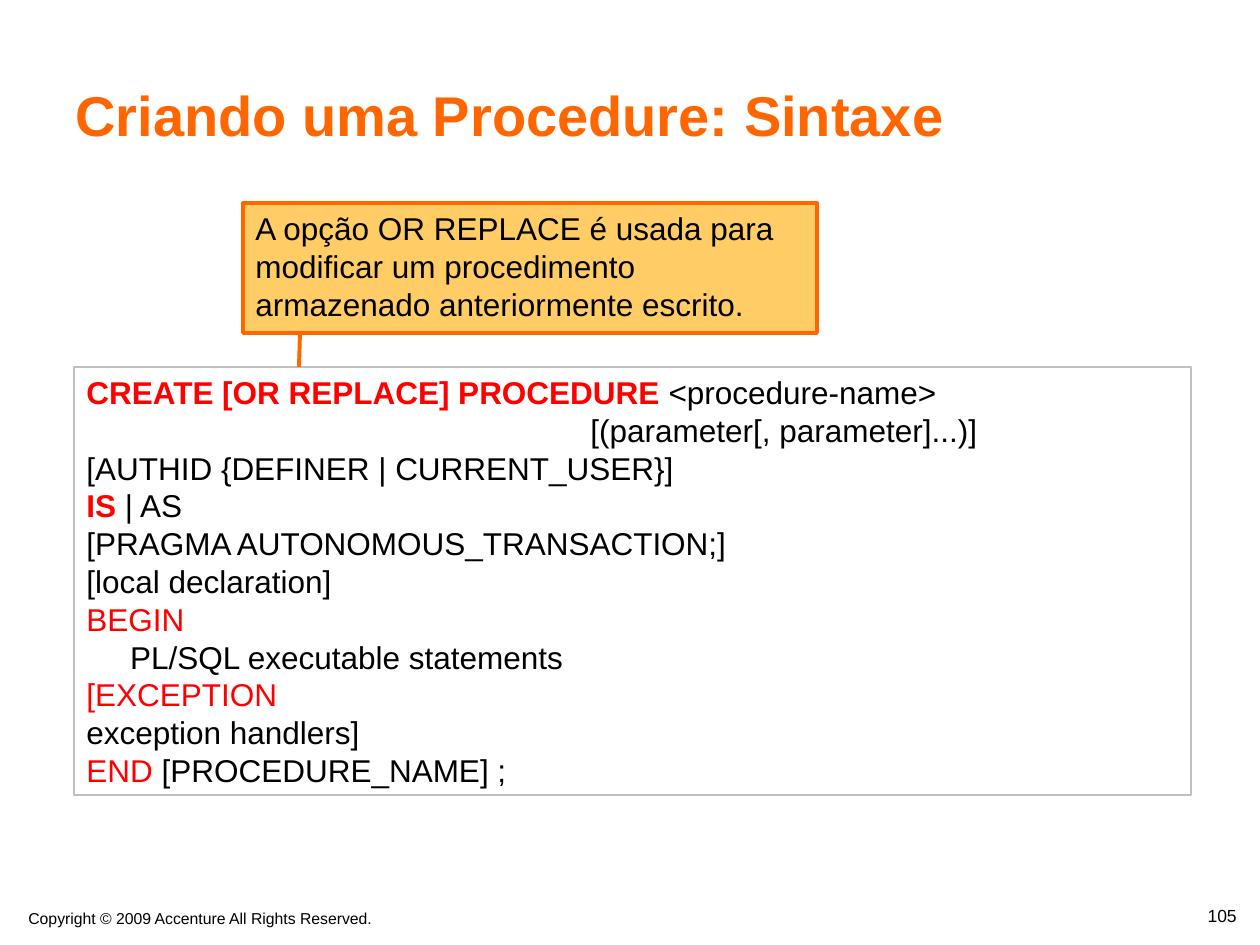
"""Build the slide on the syntax for creating a procedure."""
from lxml import etree
from pptx import Presentation
from pptx import util as u
from pptx.dml.color import RGBColor
from pptx.enum import shapes, text
from pptx.oxml.ns import qn

SCALE = 914400 / 126
COLORS = {"black": "000000", "orange": "FF6600", "amber": "FFCC66",
          "red": "FF0000", "gray": "C0C0C0"}
CODE = [
    [("CREATE [OR REPLACE] PROCEDURE", "red", True), (" <procedure-name>", "black", False)],
    [("[(parameter[, parameter]...)]", "black", False)],
    [("[AUTHID {DEFINER | CURRENT_USER}]", "black", False)],
    [("IS", "red", True), (" | AS", "black", False)],
    [("[PRAGMA AUTONOMOUS_TRANSACTION;]", "black", False)],
    [("[local declaration]", "black", False)],
    [("BEGIN", "red", False)],
    [("     PL/SQL executable statements", "black", False)],
    [("[EXCEPTION", "red", False)],
    [("exception handlers]", "black", False)],
    [("END", "red", False), (" [PROCEDURE_NAME] ;", "black", False)],
]
PARAMETER_LINE = 1


def px(n):
    return u.Emu(round(n * SCALE))


def rgb(name):
    return RGBColor.from_string(COLORS[name])


def add_run(p, words, size=18, color="black", bold=False):
    r = p.add_run()
    r.text = words
    r.font.name = "Arial"
    r.font.size = u.Pt(size)
    r.font.bold = bold
    r.font.color.rgb = rgb(color)


def prepare_frame(sp, anchor=text.MSO_ANCHOR.TOP):
    tf = sp.text_frame
    tf.word_wrap = True
    tf.vertical_anchor = anchor
    return tf


def add_label(s, box, words, align=text.PP_ALIGN.LEFT, anchor=text.MSO_ANCHOR.TOP, **style):
    sp = s.shapes.add_textbox(*map(px, box))
    p = prepare_frame(sp, anchor).paragraphs[0]
    p.alignment = align
    add_run(p, words, **style)


def add_panel(s, box, line, weight, fill=None, anchor=text.MSO_ANCHOR.TOP):
    sp = s.shapes.add_shape(shapes.MSO_SHAPE.RECTANGLE, *map(px, box))
    sp.shadow.inherit = False
    if fill:
        sp.fill.solid()
        sp.fill.fore_color.rgb = rgb(fill)
    else:
        sp.fill.background()
    sp.line.color.rgb = rgb(line)
    sp.line.width = u.Pt(weight)
    return prepare_frame(sp, anchor)


def add_code(s, box):
    tf = add_panel(s, box, "gray", 1.5, anchor=text.MSO_ANCHOR.MIDDLE)
    for i, parts in enumerate(CODE):
        p = tf.add_paragraph() if i else tf.paragraphs[0]
        p.alignment = text.PP_ALIGN.LEFT
        if i == PARAMETER_LINE:
            p._p.get_or_add_pPr().set("marL", str(u.Inches(4)))
        for words, color, bold in parts:
            add_run(p, words, color=color, bold=bold)


def add_callout(s, box, words):
    p = add_panel(s, box, "orange", 2.25, fill="amber").paragraphs[0]
    p.alignment = text.PP_ALIGN.LEFT
    add_run(p, words)


def add_line(s, ends, color, weight):
    sp = s.shapes.add_connector(shapes.MSO_CONNECTOR.STRAIGHT, *map(px, ends))
    sp.line.color.rgb = rgb(color)
    sp.line.width = u.Pt(weight)
    etree.SubElement(sp._element.spPr, qn("a:effectLst"))


def main():
    prs = Presentation()
    prs.slide_width, prs.slide_height = px(1260), px(945)
    s = prs.slides.add_slide(prs.slide_layouts[6])
    add_label(s, (16, 903, 469, 32), "Copyright © 2009 Accenture All Rights Reserved.", size=9)
    add_label(s, (955, 899, 294, 46), "105", align=text.PP_ALIGN.RIGHT, size=10)
    add_label(s, (63, 28, 1124, 126), "Criando uma Procedure: Sintaxe",
              anchor=text.MSO_ANCHOR.BOTTOM, size=32, color="orange", bold=True)
    add_code(s, (74, 367, 1117, 428))
    add_callout(s, (243, 203, 574, 130),
                "A opção OR REPLACE é usada para modificar um procedimento "
                "armazenado anteriormente escrito.")
    add_line(s, (300, 334, 299, 367), "orange", 2.25)
    prs.save("out.pptx")


if __name__ == "__main__":
    main()
